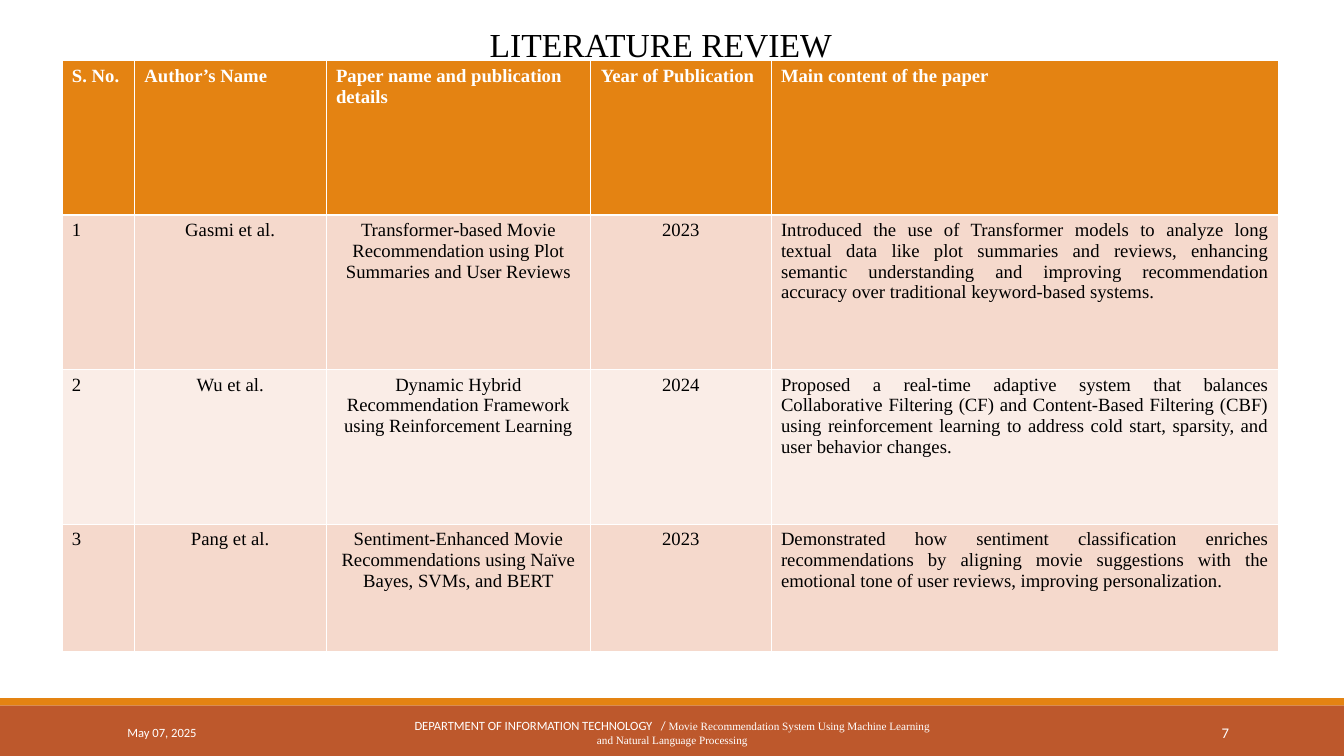
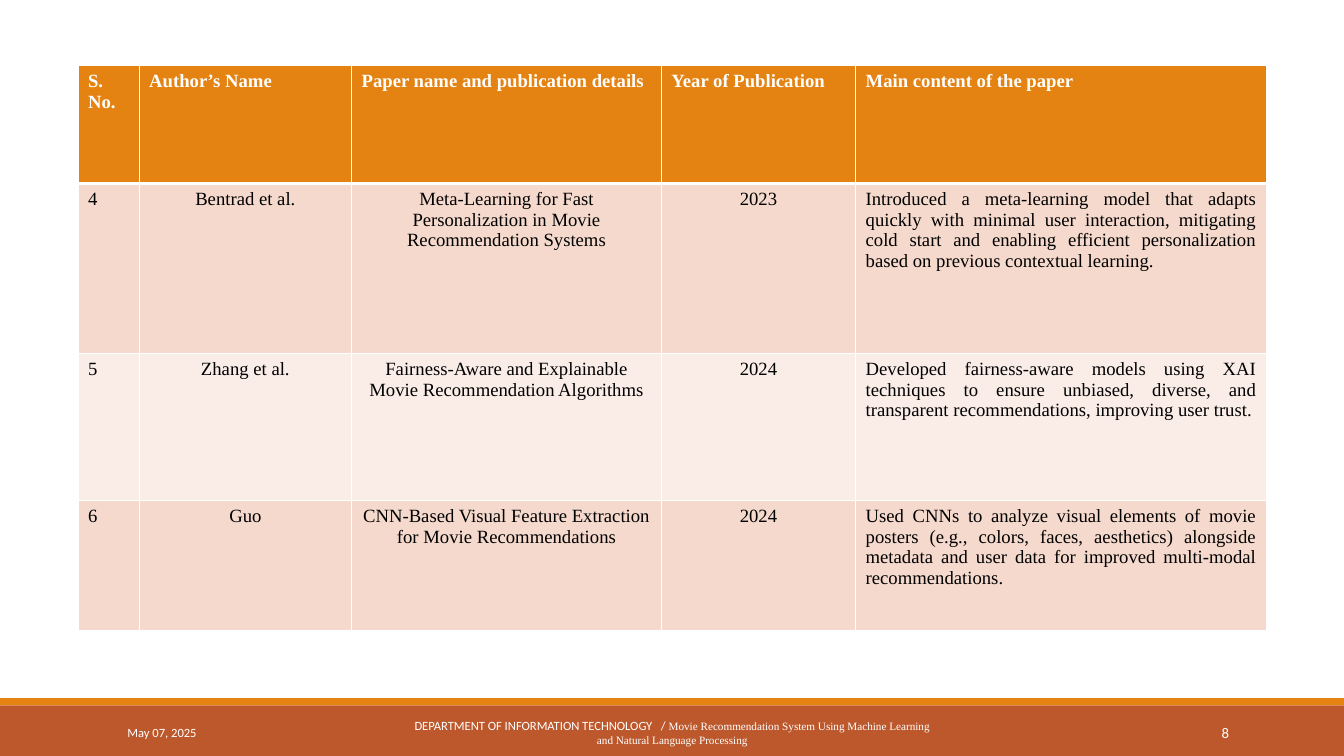
import pptx
import pptx.util
import pptx.dml.color
import pptx.enum.shapes
import pptx.enum.text
import pptx.oxml
import pptx.oxml.ns
from dataclasses import dataclass

Cm, Pt = pptx.util.Cm, pptx.util.Pt
ALIGN = pptx.enum.text.PP_ALIGN
ANCHOR = pptx.enum.text.MSO_ANCHOR


# Theme
@dataclass(frozen=True)
class Theme:
    white: str = "FFFFFF"
    ink: str = "000000"
    orange: str = "E48312"
    rust: str = "BD582C"
    row_tints: tuple = ("F5D9CC", "FAEDE7")
    serif: str = "Times New Roman"
    sans: str = "Calibri"
    title_size: float = 36
    table_size: float = 20
    footer_size: float = 13.5
    project_size: float = 12
    number_size: float = 15.8


THEME = Theme()

# Content
HEADINGS = ("S. No.", "Author’s Name", "Paper name and publication details",
            "Year of Publication", "Main content of the paper")
COLUMN_ALIGN = (ALIGN.LEFT, ALIGN.CENTER, ALIGN.CENTER, ALIGN.CENTER, ALIGN.JUSTIFY)
DATE = "May 07, 2025"
DEPARTMENT = "DEPARTMENT OF INFORMATION TECHNOLOGY   /"
PROJECT = (" Movie Recommendation System Using Machine Learning"
           " and Natural Language Processing")

REVIEWS = [
    {
        "title": "LITERATURE REVIEW",
        "page": 7,
        "corner": (2.34, 2.29),
        "columns": (2.74, 7.24, 10.01, 6.81, 19.18),
        "rows": (5.84, 5.84, 5.84, 4.83),
        "papers": [
            ("1", "Gasmi et al.",
             "Transformer-based Movie Recommendation using Plot Summaries and User Reviews",
             "2023",
             "Introduced the use of Transformer models to analyze long textual data like "
             "plot summaries and reviews, enhancing semantic understanding and improving "
             "recommendation accuracy over traditional keyword-based systems."),
            ("2", "Wu et al.",
             "Dynamic Hybrid Recommendation Framework using Reinforcement Learning",
             "2024",
             "Proposed a real-time adaptive system that balances Collaborative Filtering "
             "(CF) and Content-Based Filtering (CBF) using reinforcement learning to "
             "address cold start, sparsity, and user behavior changes."),
            ("3", "Pang et al.",
             "Sentiment-Enhanced Movie Recommendations using Naïve Bayes, SVMs, and BERT",
             "2023",
             "Demonstrated how sentiment classification enriches recommendations by "
             "aligning movie suggestions with the emotional tone of user reviews, "
             "improving personalization."),
        ],
    },
    {
        "title": None,
        "page": 8,
        "corner": (2.95, 2.49),
        "columns": (2.31, 8.03, 11.71, 7.34, 15.52),
        "rows": (4.45, 6.43, 5.56, 4.9),
        "papers": [
            ("4", "Bentrad et al.",
             "Meta-Learning for Fast Personalization in Movie Recommendation Systems",
             "2023",
             "Introduced a meta-learning model that adapts quickly with minimal user "
             "interaction, mitigating cold start and enabling efficient personalization "
             "based on previous contextual learning."),
            ("5", "Zhang et al.",
             "Fairness-Aware and Explainable Movie Recommendation Algorithms",
             "2024",
             "Developed fairness-aware models using XAI techniques to ensure unbiased, "
             "diverse, and transparent recommendations, improving user trust."),
            ("6", "Guo",
             "CNN-Based Visual Feature Extraction for Movie Recommendations",
             "2024",
             "Used CNNs to analyze visual elements of movie posters (e.g., colors, faces, "
             "aesthetics) alongside metadata and user data for improved multi-modal "
             "recommendations."),
        ],
    },
]

# Shared geometry, in centimetres
SLIDE_WIDTH, SLIDE_HEIGHT = 50.8, 28.58
BANDS = ((26.67, 1.91, THEME.rust), (26.39, 0.28, THEME.orange))  # top, height, colour
FOOTER_TOP, FOOTER_HEIGHT = 26.92, 1.52
TITLE_BOX = (18.11, 0.79, 13.74, 1.8)
CELL_INSET_X, CELL_INSET_Y = 0.38, 0.19


def rgb(colour):
    return pptx.dml.color.RGBColor.from_string(colour)


def set_font(font, family, size, colour, bold=False):
    font.name, font.size, font.bold = family, Pt(size), bold
    font.color.rgb = rgb(colour)


# Title
def add_title(slide, text):
    title = slide.shapes.title
    title.left, title.top, title.width, title.height = map(Cm, TITLE_BOX)
    frame = title.text_frame
    frame.text = text
    frame.word_wrap = False
    frame.auto_size = pptx.enum.text.MSO_AUTO_SIZE.NONE
    frame.vertical_anchor = ANCHOR.TOP
    paragraph = frame.paragraphs[0]
    paragraph.alignment = ALIGN.CENTER
    set_font(paragraph.font, THEME.serif, THEME.title_size, THEME.ink)


# Review table
def set_borders(cell, bottom):
    properties = cell._tc.get_or_add_tcPr()
    sides = (("lnL", 1), ("lnR", 1), ("lnT", 1), ("lnB", bottom))
    for position, (side, points) in enumerate(sides):
        properties.insert(position, pptx.oxml.parse_xml(
            f'<a:{side} {pptx.oxml.ns.nsdecls("a")} w="{Pt(points)}"><a:solidFill>'
            f'<a:srgbClr val="{THEME.white}"/></a:solidFill></a:{side}>'))


def fill_cell(cell, text, alignment, is_heading, fill):
    cell.text = text
    cell.margin_left = cell.margin_right = Cm(CELL_INSET_X)
    cell.margin_top = cell.margin_bottom = Cm(CELL_INSET_Y)
    cell.fill.solid()
    cell.fill.fore_color.rgb = rgb(fill)
    set_borders(cell, bottom=3 if is_heading else 1)
    paragraph = cell.text_frame.paragraphs[0]
    paragraph.alignment = alignment
    set_font(paragraph.font, THEME.serif, THEME.table_size,
             THEME.white if is_heading else THEME.ink, is_heading)


def add_reviews(slide, review):
    lines = [HEADINGS, *review["papers"]]
    left, top = review["corner"]
    table = slide.shapes.add_table(
        len(lines), len(HEADINGS), Cm(left), Cm(top),
        Cm(sum(review["columns"])), Cm(sum(review["rows"]))).table
    for column, width in zip(table.columns, review["columns"]):
        column.width = Cm(width)
    for row, height in zip(table.rows, review["rows"]):
        row.height = Cm(height)
    for r, line in enumerate(lines):
        is_heading = r == 0
        fill = THEME.orange if is_heading else THEME.row_tints[(r - 1) % 2]
        for c, text in enumerate(line):
            alignment = ALIGN.LEFT if is_heading else COLUMN_ALIGN[c]
            fill_cell(table.cell(r, c), text, alignment, is_heading, fill)


# Bands and footer
def add_bands(slide):
    for top, height, colour in BANDS:
        band = slide.shapes.add_shape(
            pptx.enum.shapes.MSO_SHAPE.RECTANGLE,
            0, Cm(top), Cm(SLIDE_WIDTH), Cm(height))
        band.shadow.inherit = False
        band.fill.solid()
        band.fill.fore_color.rgb = rgb(colour)
        band.line.fill.background()


def add_footer(slide, page):
    department = (DEPARTMENT, THEME.sans, THEME.footer_size)
    project = (PROJECT, THEME.serif, THEME.project_size)
    parts = (
        (15.37, 20.09, ALIGN.CENTER, (department, project)),
        (41.25, 5.46, ALIGN.RIGHT, ((str(page), THEME.sans, THEME.number_size),)),
        (4.57, 5.23, ALIGN.LEFT, ((DATE, THEME.sans, THEME.footer_size),)),
    )
    for left, width, alignment, phrases in parts:
        frame = slide.shapes.add_textbox(
            Cm(left), Cm(FOOTER_TOP), Cm(width), Cm(FOOTER_HEIGHT)).text_frame
        frame.word_wrap = True
        frame.vertical_anchor = ANCHOR.MIDDLE
        paragraph = frame.paragraphs[0]
        paragraph.alignment = alignment
        for text, family, size in phrases:
            run = paragraph.add_run()
            run.text = text
            set_font(run.font, family, size, THEME.white)


def main():
    deck = pptx.Presentation()
    deck.slide_width, deck.slide_height = Cm(SLIDE_WIDTH), Cm(SLIDE_HEIGHT)
    title_only, blank = deck.slide_layouts[5], deck.slide_layouts[6]
    for review in REVIEWS:
        slide = deck.slides.add_slide(title_only if review["title"] else blank)
        add_bands(slide)
        if review["title"]:
            add_title(slide, review["title"])
        add_reviews(slide, review)
        add_footer(slide, review["page"])
    deck.save("out.pptx")


if __name__ == "__main__":
    main()
